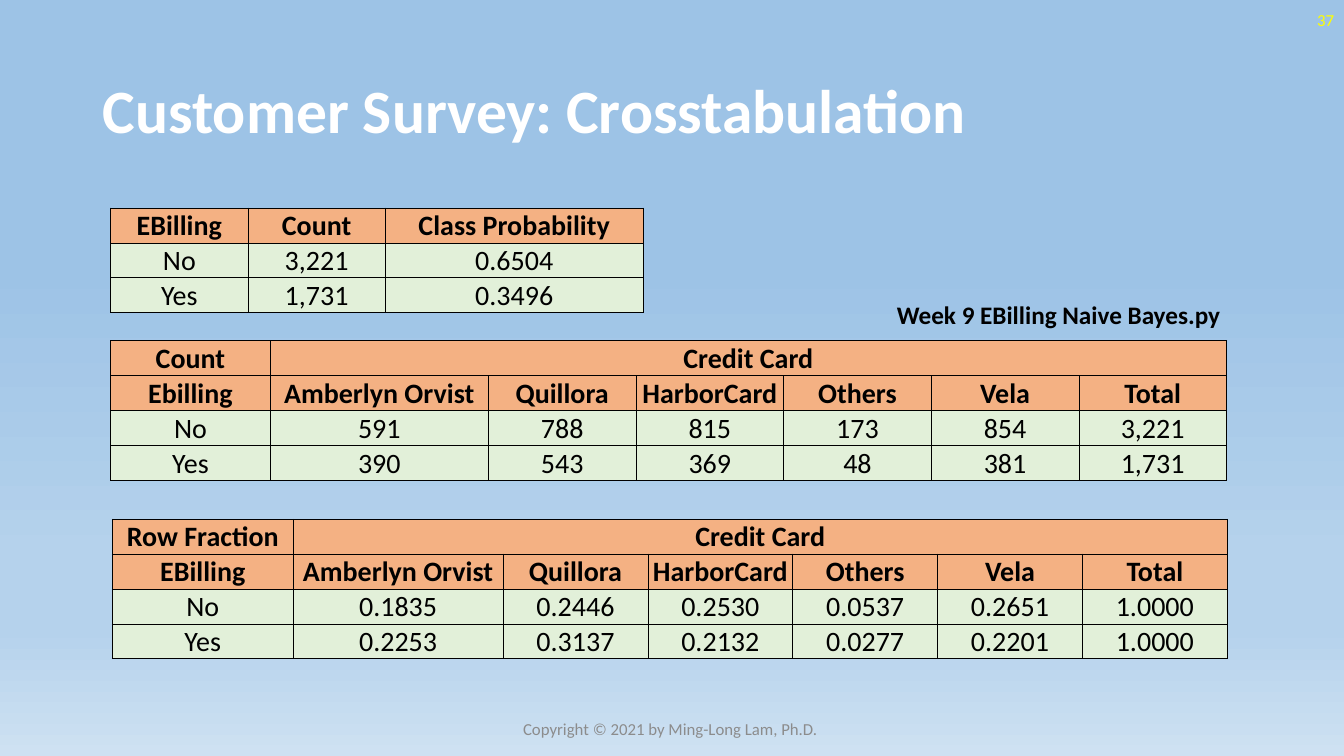
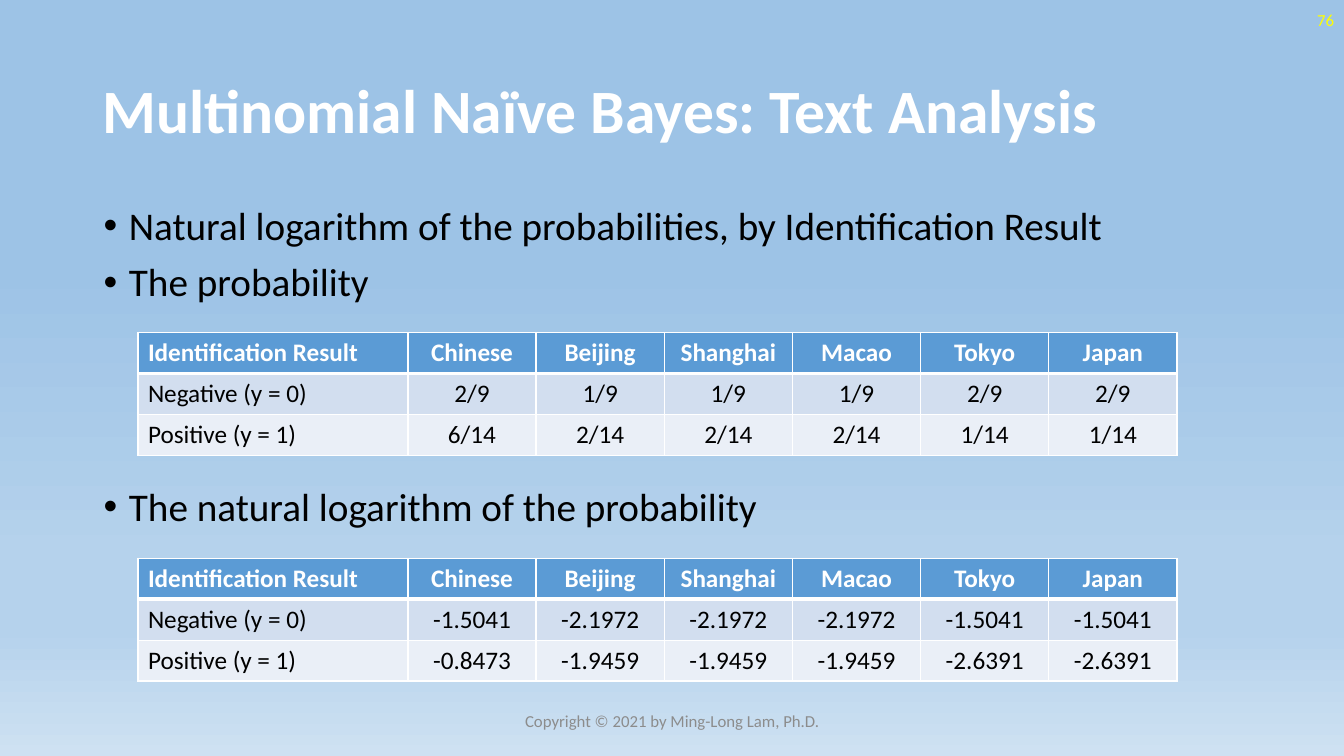
from lxml import etree
from pptx import Presentation
from pptx.dml.color import RGBColor
from pptx.enum.text import MSO_ANCHOR, PP_ALIGN
from pptx.oxml.ns import qn
from pptx.util import Cm, Pt

LEFT, CENTER, RIGHT = PP_ALIGN.LEFT, PP_ALIGN.CENTER, PP_ALIGN.RIGHT
TOP, MIDDLE = MSO_ANCHOR.TOP, MSO_ANCHOR.MIDDLE

FONT = "Calibri"
COLORS = {
    "title": "FFFFFF", "text": "000000", "footer": "8C8C8C", "number": "FFFF00",
    "orange": "F4B183", "green": "E2F0D9",
    "blue": "5B9BD5", "band_dark": "D2DEEF", "band_light": "EAEFF7",
    "black": "000000", "white": "FFFFFF",
}
BACKGROUND = [(35, "9DC3E6"), (74, "B5D2EC"), (83, "B5D2EC"), (100, "CEE1F2")]
COPYRIGHT = "Copyright © 2021 by Ming-Long Lam, Ph.D."

CROSSTAB = {
    "size": 20, "row": 0.88, "pad": (0.03, 0.03, 0.03, 0), "first": CENTER,
    "head": "orange", "head_text": "black", "body": ["green"],
    "line": "black", "width": 0.5, "rule": 0.5,
}
BANDED = {
    "size": 18, "row": 1.03, "pad": (0.25, 0.13, 0.25, 0.13), "first": LEFT,
    "head": "blue", "head_text": "white", "body": ["band_dark", "band_light"],
    "line": "white", "width": 1, "rule": 3,
}

CARDS = ["Amberlyn Orvist", "Quillora", "HarborCard", "Others", "Vela", "Total"]
CARD_BAND = ["Credit Card"] + [None] * 5
WORDS = ["Identification Result", "Chinese", "Beijing", "Shanghai", "Macao", "Tokyo", "Japan"]


class Deck:
    """Holds the shared style and the current slide."""

    def __init__(self):
        self.prs = Presentation()
        self.prs.slide_width, self.prs.slide_height = Cm(33.87), Cm(19.05)
        self.s = None

    def slide(self, title, number, footer_x, footer_y):
        self.s = self.prs.slides.add_slide(self.prs.slide_layouts[6])
        self.background()
        self.text(title, 2.34, 1.02, 29.21, 3.68, 44, "title", bold=True,
                  anchor=MIDDLE, spacing=0.9)
        self.text(number, 26.25, 0, 7.62, 1.02, 12, "number", RIGHT, anchor=MIDDLE)
        self.text(COPYRIGHT, footer_x, footer_y, 11.43, 1.02, 12, "footer", CENTER,
                  anchor=MIDDLE)

    def background(self):
        fill = self.s.background.fill
        fill.gradient()
        fill.gradient_angle = 270
        stops = self.s.element.find(".//" + qn("a:gsLst"))
        for stop in list(stops):
            stops.remove(stop)
        for position, color in BACKGROUND:
            stop = etree.SubElement(stops, qn("a:gs"), pos=str(position * 1000))
            etree.SubElement(stop, qn("a:srgbClr"), val=color)

    def run(self, p, text, size, color, bold=False):
        r = p.add_run()
        r.text = text
        r.font.name, r.font.size, r.font.bold = FONT, Pt(size), bold
        r.font.color.rgb = RGBColor.from_string(COLORS[color])

    def frame(self, x, y, w, h, anchor=TOP, wrap=True):
        tf = self.s.shapes.add_textbox(Cm(x), Cm(y), Cm(w), Cm(h)).text_frame
        tf.word_wrap, tf.vertical_anchor = wrap, anchor
        return tf

    def text(self, text, x, y, w, h, size, color, align=LEFT, bold=False,
             anchor=TOP, wrap=True, spacing=None):
        p = self.frame(x, y, w, h, anchor, wrap).paragraphs[0]
        p.alignment, p.line_spacing = align, spacing
        self.run(p, text, size, color, bold)

    def bullets(self, items, x, y, w, h):
        tf = self.frame(x, y, w, h)
        for i, (text, before) in enumerate(items):
            p = tf.add_paragraph() if i else tf.paragraphs[0]
            pPr = p._p.get_or_add_pPr()
            pPr.set("marL", str(Cm(0.64)))
            pPr.set("indent", str(Cm(-0.64)))
            etree.SubElement(pPr, qn("a:buFont"), typeface="Arial")
            etree.SubElement(pPr, qn("a:buChar"), char="•")
            p.line_spacing, p.space_before = 0.9, Pt(before)
            self.run(p, text, 28, "text")

    def borders(self, cell, color, widths):
        tcPr = cell._tc.get_or_add_tcPr()
        for i, (side, width) in enumerate(zip("LRTB", widths)):
            ln = etree.Element(qn("a:ln" + side), w=str(Pt(width)))
            fill = etree.SubElement(ln, qn("a:solidFill"))
            etree.SubElement(fill, qn("a:srgbClr"), val=COLORS[color])
            tcPr.insert(i, ln)

    def table(self, rows, x, y, widths, style, head_rows=1):
        shape = self.s.shapes.add_table(len(rows), len(widths), Cm(x), Cm(y),
                                        Cm(sum(widths)), Cm(style["row"] * len(rows)))
        table = shape.table
        table.first_row = table.horz_banding = False
        for column, width in zip(table.columns, widths):
            column.width = Cm(width)
        for i, values in enumerate(rows):
            table.rows[i].height = Cm(style["row"])
            head = i < head_rows
            body = style["body"][(i - head_rows) % len(style["body"])]
            for j, value in enumerate(values):
                cell = table.cell(i, j)
                cell.fill.solid()
                cell.fill.fore_color.rgb = RGBColor.from_string(
                    COLORS[style["head"] if head else body])
                above = style["rule"] if i == head_rows else style["width"]
                below = style["rule"] if i == head_rows - 1 else style["width"]
                self.borders(cell, style["line"],
                             (style["width"], style["width"], above, below))
                (cell.margin_left, cell.margin_top,
                 cell.margin_right, cell.margin_bottom) = map(Cm, style["pad"])
                cell.vertical_anchor = MIDDLE
                if value is not None:
                    p = cell.text_frame.paragraphs[0]
                    p.alignment = CENTER if j else style["first"]
                    self.run(p, value, style["size"],
                             style["head_text"] if head else "text", head)
            if None in values:
                table.cell(i, values.index(None) - 1).merge(table.cell(i, len(values) - 1))


def main():
    deck = Deck()

    deck.slide("Customer Survey: Crosstabulation", "37", 11.18, 17.86)
    deck.table([
        ["EBilling", "Count", "Class Probability"],
        ["No", "3,221", "0.6504"],
        ["Yes", "1,731", "0.3496"],
    ], 2.79, 5.24, [3.46, 3.46, 6.5], CROSSTAB)
    deck.table([
        ["Count"] + CARD_BAND,
        ["Ebilling"] + CARDS,
        ["No", "591", "788", "815", "173", "854", "3,221"],
        ["Yes", "390", "543", "369", "48", "381", "1,731"],
    ], 2.79, 8.58, [4.02, 5.5] + [3.72] * 5, CROSSTAB, head_rows=2)
    deck.table([
        ["Row Fraction"] + CARD_BAND,
        ["EBilling"] + CARDS,
        ["No", "0.1835", "0.2446", "0.2530", "0.0537", "0.2651", "1.0000"],
        ["Yes", "0.2253", "0.3137", "0.2132", "0.0277", "0.2201", "1.0000"],
    ], 2.83, 13.08, [4.56, 5.29] + [3.65] * 5, CROSSTAB, head_rows=2)
    deck.text("Week 9 EBilling Naive Bayes.py", 22.35, 7.42, 8.74, 1.02, 18, "text",
              bold=True, wrap=False)

    deck.slide("Multinomial Naïve Bayes: Text Analysis", "76", 11.23, 17.65)
    deck.bullets([
        ("Natural logarithm of the probabilities, by Identification Result", 0),
        ("The probability", 10),
        ("The natural logarithm of the probability", 130),
    ], 2.36, 5.08, 29.21, 12.09)
    probabilities = [
        ["Negative (y = 0)", "2/9", "1/9", "1/9", "1/9", "2/9", "2/9"],
        ["Positive (y = 1)", "6/14", "2/14", "2/14", "2/14", "1/14", "1/14"],
    ]
    logarithms = [
        ["Negative (y = 0)", "-1.5041", "-2.1972", "-2.1972", "-2.1972", "-1.5041", "-1.5041"],
        ["Positive (y = 1)", "-0.8473", "-1.9459", "-1.9459", "-1.9459", "-2.6391", "-2.6391"],
    ]
    for y, rows in ((8.38, probabilities), (14.07, logarithms)):
        deck.table([WORDS] + rows, 3.48, y, [6.8] + [3.23] * 6, BANDED)

    deck.prs.save("out.pptx")


if __name__ == "__main__":
    main()
